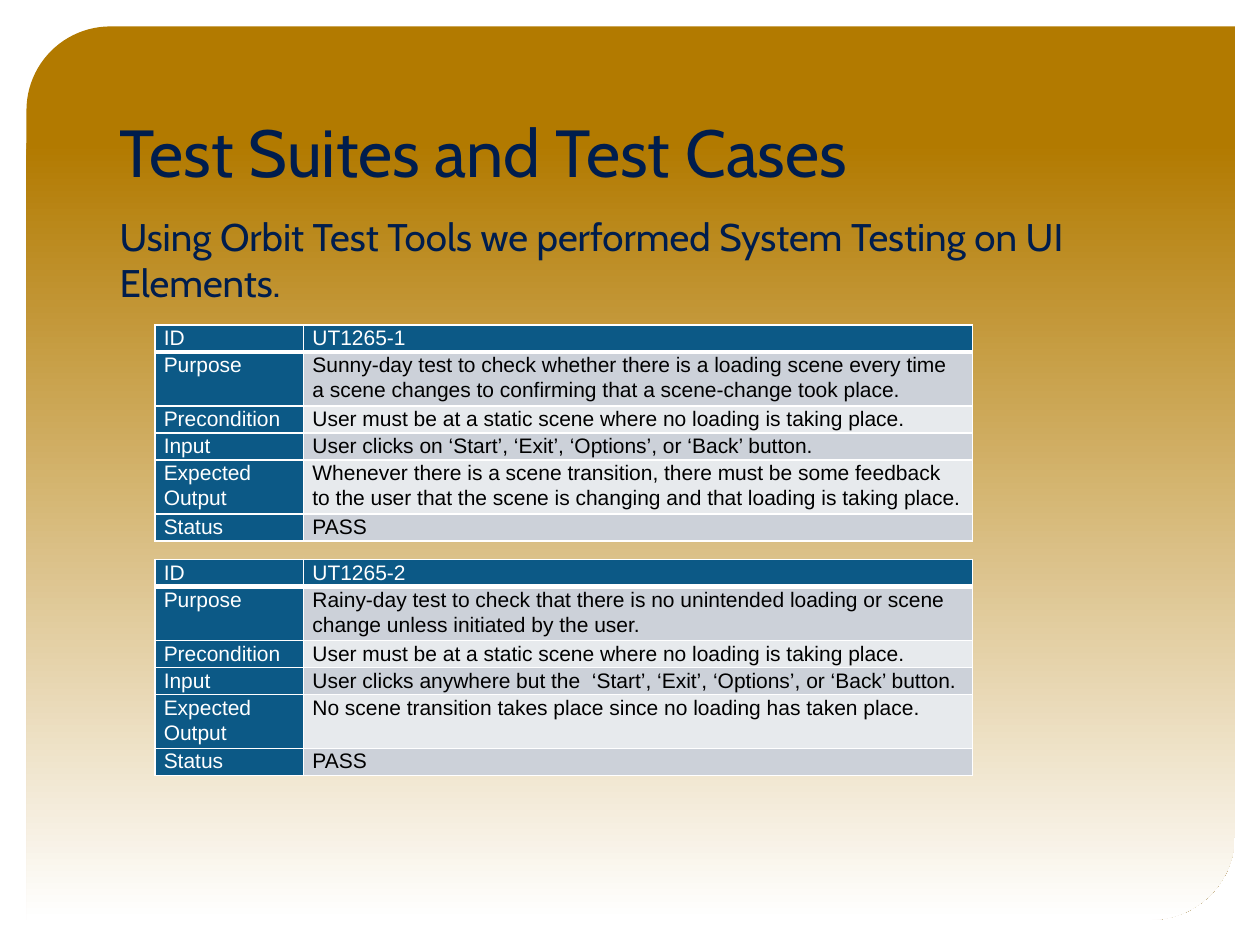
from copy import deepcopy

from lxml import etree
from pptx import Presentation
from pptx.dml.color import RGBColor
from pptx.enum.shapes import MSO_SHAPE
from pptx.enum.text import MSO_ANCHOR
from pptx.oxml.ns import qn
from pptx.util import Inches, Pt

ROUNDED = MSO_SHAPE.ROUND_2_DIAG_RECTANGLE
TOP, BOTTOM = MSO_ANCHOR.TOP, MSO_ANCHOR.BOTTOM

OCHRE = RGBColor(0xB2, 0x7A, 0x00)
NAVY = RGBColor(0x00, 0x1D, 0x4D)
BLUE = RGBColor(0x0C, 0x59, 0x86)
DARK_BAND = RGBColor(0xCC, 0xD1, 0xD9)
LIGHT_BAND = RGBColor(0xE7, 0xEA, 0xED)
WHITE = RGBColor(0xFF, 0xFF, 0xFF)
BLACK = RGBColor(0x00, 0x00, 0x00)

# Grid of 100 columns by 75 rows
COL = ROW = Inches(0.1)


def put_text(tf, text, size=12, font="Arial", color=BLACK, anchor=TOP, spacing=None):
    tf.word_wrap = True
    tf.vertical_anchor = anchor
    p = tf.paragraphs[0]
    p.line_spacing = spacing
    r = p.add_run()
    r.text = text
    r.font.size, r.font.name, r.font.bold = Pt(size), font, False
    r.font.color.rgb = color


def set_borders(cell, bottom):
    tcPr = cell._tc.get_or_add_tcPr()
    widths = {"a:lnL": 1, "a:lnR": 1, "a:lnT": 1, "a:lnB": bottom}
    for i, (tag, width) in enumerate(widths.items()):
        ln = etree.Element(qn(tag), w=str(Pt(width)))
        fill = etree.SubElement(ln, qn("a:solidFill"))
        etree.SubElement(fill, qn("a:srgbClr"), val=str(WHITE))
        tcPr.insert(i, ln)


prs = Presentation()
prs.slide_width, prs.slide_height = 100 * COL, 75 * ROW
s = prs.slides.add_slide(prs.slide_layouts[6])

# Gradient panel
panel = s.shapes.add_shape(ROUNDED, int(2.1 * COL), int(2.1 * ROW),
                           int(95.9 * COL), int(70.9 * ROW))
panel.shadow.inherit = False
panel.adjustments[0], panel.adjustments[1] = 0.094, 0
panel.line.fill.background()
panel.fill.gradient()
panel.fill.gradient_angle = 270
first_stop = panel._element.spPr.find(".//" + qn("a:gs"))
first_stop.addnext(deepcopy(first_stop))
stops = [(0, OCHRE), (0.13, OCHRE), (1, WHITE)]
for stop, (position, color) in zip(panel.fill.gradient_stops, stops):
    stop.position = position
    stop.color.rgb = color

# Title and introduction
headings = [
    (4.2, 11.4, "Test Suites and Test Cases", 38, BOTTOM),
    (16.4, 49.6, "Using Orbit Test Tools we performed System Testing on UI Elements.", 22, TOP),
]
for top, height, text, size, anchor in headings:
    box = s.shapes.add_textbox(int(8.5 * COL), int(top * ROW),
                               int(82.9 * COL), int(height * ROW))
    put_text(box.text_frame, text, size=size, font="Cabin", color=NAVY, anchor=anchor)

# Test cases, one table each
LABELS = ["ID", "Purpose", "Precondition", "Input", "Expected Output", "Status"]
ROW_LINES = [1, 2, 1, 1, 2, 1]
PRECONDITION = "User must be at a static scene where no loading is taking place."
cases = [
    (25.8, ["UT1265-1",
            "Sunny-day test to check whether there is a loading scene every time "
            "a scene changes to confirming that a scene-change took place.",
            PRECONDITION,
            "User clicks on ‘Start’, ‘Exit’, ‘Options’, or ‘Back’ button.",
            "Whenever there is a scene transition, there must be some feedback "
            "to the user that the scene is changing and that loading is taking place.",
            "PASS"]),
    (44.4, ["UT1265-2",
            "Rainy-day test to check that there is no unintended loading or scene "
            "change unless initiated by the user.",
            PRECONDITION,
            "User clicks anywhere but the  ‘Start’, ‘Exit’, ‘Options’, or ‘Back’ button.",
            "No scene transition takes place since no loading has taken place.",
            "PASS"]),
]
for top, values in cases:
    table = s.shapes.add_table(len(LABELS), 2, int(12.3 * COL), int(top * ROW),
                               int(64.9 * COL), 2 * ROW * sum(ROW_LINES)).table
    table.first_row = table.horz_banding = False
    for column, width in zip(table.columns, (11.8, 53.1)):
        column.width = int(width * COL)
    for i, pair in enumerate(zip(LABELS, values)):
        table.rows[i].height = 2 * ROW * ROW_LINES[i]
        for j, text in enumerate(pair):
            cell = table.cell(i, j)
            heading = i == 0 or j == 0
            cell.margin_left = cell.margin_right = Inches(0.07)
            cell.margin_top = cell.margin_bottom = 0
            cell.fill.solid()
            cell.fill.fore_color.rgb = BLUE if heading else DARK_BAND if i % 2 else LIGHT_BAND
            set_borders(cell, bottom=3 if i == 0 else 1)
            put_text(cell.text_frame, text, color=WHITE if heading else BLACK, spacing=1.07)

prs.save("out.pptx")
